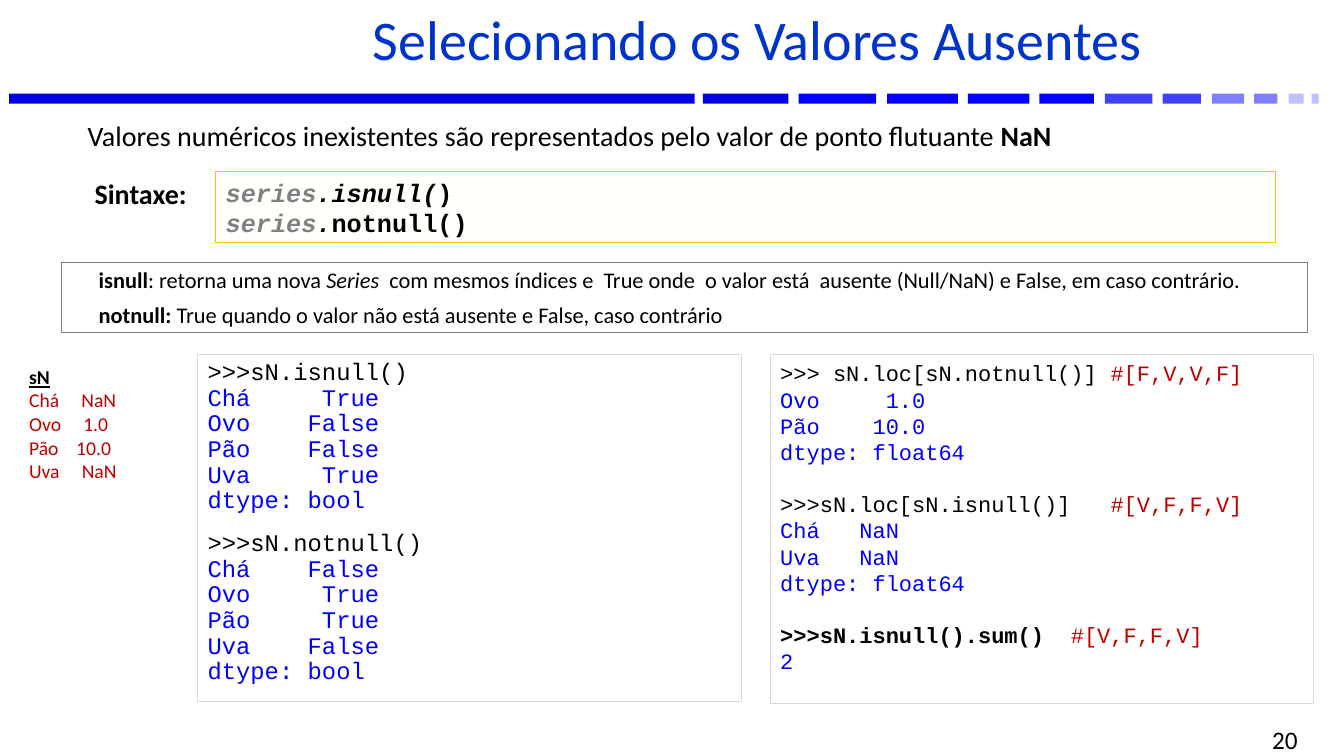
from pptx import Presentation
from pptx.dml.color import RGBColor
from pptx.enum.shapes import MSO_SHAPE
from pptx.enum.text import MSO_ANCHOR, PP_ALIGN
from pptx.util import Inches, Pt

RECTANGLE = MSO_SHAPE.RECTANGLE
TOP, MIDDLE = MSO_ANCHOR.TOP, MSO_ANCHOR.MIDDLE
LEFT, CENTER, RIGHT = PP_ALIGN.LEFT, PP_ALIGN.CENTER, PP_ALIGN.RIGHT

BLACK = RGBColor(0x00, 0x00, 0x00)
GRAY = RGBColor(0x80, 0x80, 0x80)
LIGHT_GRAY = RGBColor(0xD9, 0xD9, 0xD9)
TITLE_BLUE = RGBColor(0x00, 0x33, 0xCC)
OUTPUT_BLUE = RGBColor(0x00, 0x00, 0xFF)
RED = RGBColor(0xC0, 0x00, 0x00)
CREAM = RGBColor(0xFF, 0xFF, 0xFB)
AMBER = RGBColor(0xFF, 0xC0, 0x00)
DARK_BAR = RGBColor(0x00, 0x00, 0xE0)
MID_BAR = RGBColor(0x40, 0x40, 0xFF)
SOFT_BAR = RGBColor(0x80, 0x80, 0xFF)
PALE_BAR = RGBColor(0xC0, 0xC0, 0xFF)

BODY_FONT, CODE_FONT = "Calibri", "Courier New"

BARS = [  # left, width, colour
    (0.09, 6.8, DARK_BAR), (6.97, 0.85, DARK_BAR),
    (7.92, 0.77, OUTPUT_BLUE), (8.8, 0.7, OUTPUT_BLUE),
    (9.6, 0.61, OUTPUT_BLUE), (10.31, 0.54, OUTPUT_BLUE),
    (10.96, 0.47, MID_BAR), (11.53, 0.38, MID_BAR),
    (12.02, 0.32, SOFT_BAR), (12.44, 0.23, SOFT_BAR),
    (12.78, 0.15, PALE_BAR), (13.01, 0.07, PALE_BAR),
]

# Each example: command, comment, output lines, bold command
LEFT_EXAMPLES = [
    (">>>sN.isnull()", "",
     ["Chá     True", "Ovo    False", "Pão    False", "Uva     True",
      "dtype: bool"], False),
    (">>>sN.notnull()", "",
     ["Chá    False", "Ovo     True", "Pão     True", "Uva    False",
      "dtype: bool"], False),
]
RIGHT_EXAMPLES = [
    (">>> sN.loc[sN.notnull()] ", "#[F,V,V,F]",
     ["Ovo     1.0", "Pão    10.0", "dtype: float64"], False),
    (">>>sN.loc[sN.isnull()]   ", "#[V,F,F,V]",
     ["Chá   NaN", "Uva   NaN", "dtype: float64"], False),
    (">>>sN.isnull().sum()  ", "#[V,F,F,V]", ["2"], True),
]


def add_box(slide, box, fill=None, line=None):
    rectangle = slide.shapes.add_shape(RECTANGLE, *map(Inches, box))
    rectangle.shadow.inherit = False
    if fill is None:
        rectangle.fill.background()
    else:
        rectangle.fill.solid()
        rectangle.fill.fore_color.rgb = fill
    if line is None:
        rectangle.line.fill.background()
    else:
        rectangle.line.color.rgb = line
        rectangle.line.width = Pt(0.75)
    return rectangle


def write(frame, paragraphs, size, font=BODY_FONT, align=LEFT, anchor=TOP,
          margins=(0.1, 0.05), line_spacing=None):
    """Fill a frame; a paragraph is (runs, space before, indent) and a run
    is (text, colour, style letters out of b, i, u)."""
    frame.word_wrap = True
    frame.vertical_anchor = anchor
    frame.margin_left = frame.margin_right = Inches(margins[0])
    frame.margin_top = frame.margin_bottom = Inches(margins[1])
    for index, (runs, space_before, indent) in enumerate(paragraphs):
        paragraph = frame.add_paragraph() if index else frame.paragraphs[0]
        paragraph.alignment = align
        paragraph.space_before = Pt(space_before)
        if line_spacing:
            paragraph.line_spacing = line_spacing
        if indent:
            properties = paragraph._p.get_or_add_pPr()
            properties.set("marL", str(Inches(indent[0])))
            properties.set("indent", str(Inches(indent[1])))
        paragraph.font.size = Pt(size)
        paragraph.font.name = font
        for text, color, style in runs:
            run = paragraph.add_run()
            run.text = text
            run.font.color.rgb = color
            run.font.bold = "b" in style
            run.font.italic = "i" in style
            run.font.underline = "u" in style


def add_label(slide, box, paragraphs, size, **options):
    label = slide.shapes.add_textbox(*map(Inches, box))
    write(label.text_frame, paragraphs, size, **options)


def add_title(slide, box):
    title = slide.shapes.title
    title.left, title.top, title.width, title.height = map(Inches, box)
    runs = [("Selecionando os Valores Ausentes", TITLE_BLUE, "")]
    write(title.text_frame, [(runs, 6, None)], 40, align=CENTER,
          anchor=MIDDLE, line_spacing=0.8)


def add_divider(slide, top, height):
    for left, width, color in BARS:
        add_box(slide, (left, top, width, height), fill=color)


def add_syntax(slide, box):
    left, top, _, _ = box
    add_label(slide, (left - 1.3, top, 1.42, 0.44),
              [([("Sintaxe:", BLACK, "b")], 0, None)], 20)
    isnull = [("series", GRAY, "bi"), (".isnull(", BLACK, "bi"),
              (")", BLACK, "b")]
    notnull = [("series", GRAY, "bi"), (".", BLACK, "bi"),
               ("notnull()", BLACK, "b")]
    write(add_box(slide, box, CREAM, AMBER).text_frame,
          [(isnull, 0, None), (notnull, 0, None)], 18, font=CODE_FONT,
          anchor=MIDDLE, margins=(0.1, 0))


def add_explanation(slide, box):
    isnull = [
        ("isnull", BLACK, "b"), (": retorna uma nova ", BLACK, ""),
        ("Series ", BLACK, "i"),
        (" com mesmos índices e  True onde  o valor está  ausente "
         "(Null/NaN) e False, em caso contrário.", BLACK, ""),
    ]
    notnull = [
        ("notnull:", BLACK, "b"),
        (" True quando o valor não está ausente e False, caso contrário",
         BLACK, ""),
    ]
    indent = (0.88, -0.59)
    write(add_box(slide, box, line=GRAY).text_frame,
          [(isnull, 0, indent), (notnull, 6, indent)], 16,
          margins=(0.08, 0.04))


def add_series(slide, box):
    rows = ["Chá     NaN", "Ovo     1.0", "Pão    10.0", "Uva     NaN"]
    add_label(slide, box, [([("sN", BLACK, "bu")], 0, None)]
              + [([(row, RED, "")], 0, None) for row in rows], 14)


def add_examples(slide, box, examples, size, gap, line_spacing=None):
    """Draw a code panel, with a gap in points between its examples."""
    hanging = (0.5, -0.5)
    paragraphs = []
    for index, (command, comment, output, bold) in enumerate(examples):
        runs = [(command, BLACK, "b" if bold else "")]
        if comment:
            runs.append((comment, RED, ""))
        paragraphs.append((runs, gap if index else 0, hanging))
        paragraphs += [([(row, OUTPUT_BLUE, "")], 0, hanging)
                       for row in output]
    write(add_box(slide, box, line=LIGHT_GRAY).text_frame, paragraphs, size,
          font=CODE_FONT, line_spacing=line_spacing)


def main():
    presentation = Presentation()
    presentation.slide_width = Inches(13.33)
    presentation.slide_height = Inches(7.5)
    slide = presentation.slides.add_slide(presentation.slide_layouts[5])

    add_divider(slide, 0.93, 0.1)
    add_title(slide, (1.94, 0.06, 11.14, 0.77))
    introduction = [
        ("Valores numéricos inexistentes são representados pelo valor de "
         "ponto flutuante ", BLACK, ""),
        ("NaN", BLACK, "b"),
    ]
    add_label(slide, (0.77, 1.13, 11.88, 0.44), [(introduction, 0, None)], 20)
    add_syntax(slide, (2.14, 1.7, 10.51, 0.71))
    add_explanation(slide, (0.61, 2.6, 12.36, 0.7))
    add_series(slide, (0.19, 3.57, 1.4, 1.28))
    add_examples(slide, (1.96, 3.52, 5.39, 3.44), LEFT_EXAMPLES, 17, 12, 0.9)
    add_examples(slide, (7.64, 3.52, 5.39, 3.46), RIGHT_EXAMPLES, 15.7, 18)
    add_label(slide, (9.86, 7.23, 3.11, 0.22),
              [([("20", BLACK, "")], 0, None)], 18, align=RIGHT,
              anchor=MIDDLE)

    presentation.save("out.pptx")


if __name__ == "__main__":
    main()
